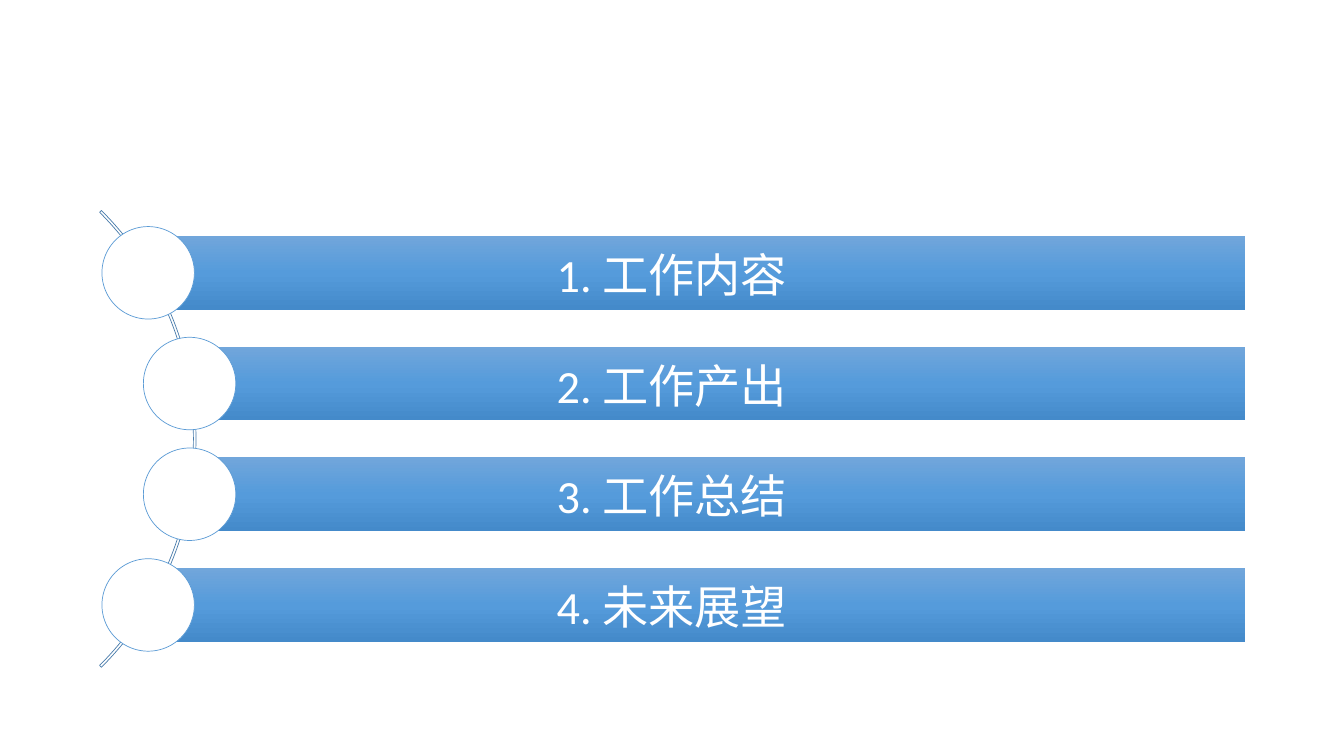
from copy import deepcopy
from dataclasses import dataclass
from math import sqrt

from lxml.etree import SubElement as add_node
from pptx import Presentation as Deck
from pptx.dml.color import RGBColor as Color
from pptx.enum.shapes import MSO_SHAPE as Kind
from pptx.enum.text import MSO_ANCHOR as Anchor, MSO_AUTO_SIZE as Fit, PP_ALIGN as Align
from pptx.oxml.ns import qn
from pptx.shapes.autoshape import Shape
from pptx.slide import Slide
from pptx.text.text import TextFrame as Frame
from pptx.util import Cm, Pt


@dataclass(frozen=True)
class Theme:
    font: str = "Calibri"
    size: float = 33
    pitch: float = 79.2
    line: float = 0.5
    white: str = "FFFFFF"
    ring: str = "5B9BD5"
    curve: str = "497CAB"
    shade: tuple[str, ...] = ("71A6DB", "559BDB", "448ACA")


@dataclass(frozen=True)
class Row:
    text: str
    x: float
    y: float


THEME = Theme()
HUB_X, HUB_Y, RADIUS, TRACK = -3.2, 11.06, 8.14, 8.1
STEP, BAR, DISC, RIGHT = 2.79, 1.86, 2.33, 31.37
LABELS = ("1. 工作内容", "2. 工作产出", "3. 工作总结", "4. 未来展望")


def make_rows() -> list[Row]:
    rows = []
    for i, text in enumerate(LABELS):
        drop = (i - (len(LABELS) - 1) / 2) * STEP
        rows.append(Row(text, HUB_X + sqrt(TRACK**2 - drop**2), HUB_Y + drop))
    return rows


def draw(slide: Slide, kind: Kind, x: float, y: float, w: float, h: float,
         fill: str | None = None, line: str | None = None) -> Shape:
    shape = slide.shapes.add_shape(kind, Cm(x), Cm(y), Cm(w), Cm(h))
    shape.shadow.inherit = False
    if fill:
        shape.fill.solid()
        shape.fill.fore_color.rgb = Color.from_string(fill)
    else:
        shape.fill.background()
    if line:
        shape.line.color.rgb = Color.from_string(line)
        shape.line.width = Pt(THEME.line)
    else:
        shape.line.fill.background()
    return shape


def blend(shape: Shape, shades: tuple[str, ...]) -> None:
    fill = shape.fill
    fill.gradient()
    fill.gradient_angle = 270
    stops = shape.element.spPr.find(qn("a:gradFill")).find(qn("a:gsLst"))
    stops.insert(1, deepcopy(stops[0]))
    for i, (stop, shade) in enumerate(zip(fill.gradient_stops, shades)):
        stop.position = i / (len(shades) - 1)
        stop.color.rgb = Color.from_string(shade)


def write(frame: Frame, text: str, *, first: bool = False, font: str = THEME.font,
          size: float = THEME.size, color: str = THEME.white,
          pitch: float = THEME.pitch) -> None:
    para = frame.paragraphs[0] if first else frame.add_paragraph()
    para.alignment = Align.LEFT
    para.line_spacing = Pt(pitch)
    para.space_before = para.space_after = Pt(0)
    props = para._p.get_or_add_pPr()
    props.set("marL", "0")
    props.set("indent", "0")
    add_node(props, qn("a:buNone"))
    run = para.add_run()
    run.text = text
    run.font.name = font
    run.font.size = Pt(size)
    run.font.color.rgb = Color.from_string(color)


def draw_row(slide: Slide, row: Row) -> None:
    bar = draw(slide, Kind.RECTANGLE, row.x, row.y - BAR / 2, RIGHT - row.x, BAR)
    blend(bar, THEME.shade)
    draw(slide, Kind.OVAL, row.x - DISC / 2, row.y - DISC / 2, DISC, DISC,
         THEME.white, THEME.ring)


def fill_list(slide: Slide, rows: list[Row]) -> None:
    body = slide.placeholders[1]
    body.left, body.top, body.width, body.height = Cm(14.03), Cm(4.8), Cm(17.1), Cm(11.18)
    frame = body.text_frame
    frame.word_wrap = True
    frame.auto_size = Fit.NONE
    frame.vertical_anchor = Anchor.TOP
    frame.margin_left = frame.margin_top = frame.margin_right = frame.margin_bottom = 0
    for i, row in enumerate(rows):
        write(frame, row.text, first=i == 0)
    tree = slide.shapes._spTree
    tree.remove(body.element)
    tree.append(body.element)


def main() -> None:
    deck = Deck()
    deck.slide_width, deck.slide_height = Cm(33.87), Cm(19.05)
    slide = deck.slides.add_slide(deck.slide_layouts[1])
    title = slide.shapes.title.element
    title.getparent().remove(title)

    arc = draw(slide, Kind.BLOCK_ARC, HUB_X - RADIUS, HUB_Y - RADIUS,
               2 * RADIUS, 2 * RADIUS, line=THEME.curve)
    for i, value in enumerate((189, 27, 0.004)):
        arc.adjustments[i] = value

    rows = make_rows()
    for row in rows:
        draw_row(slide, row)
    fill_list(slide, rows)
    deck.save("out.pptx")


if __name__ == "__main__":
    main()
